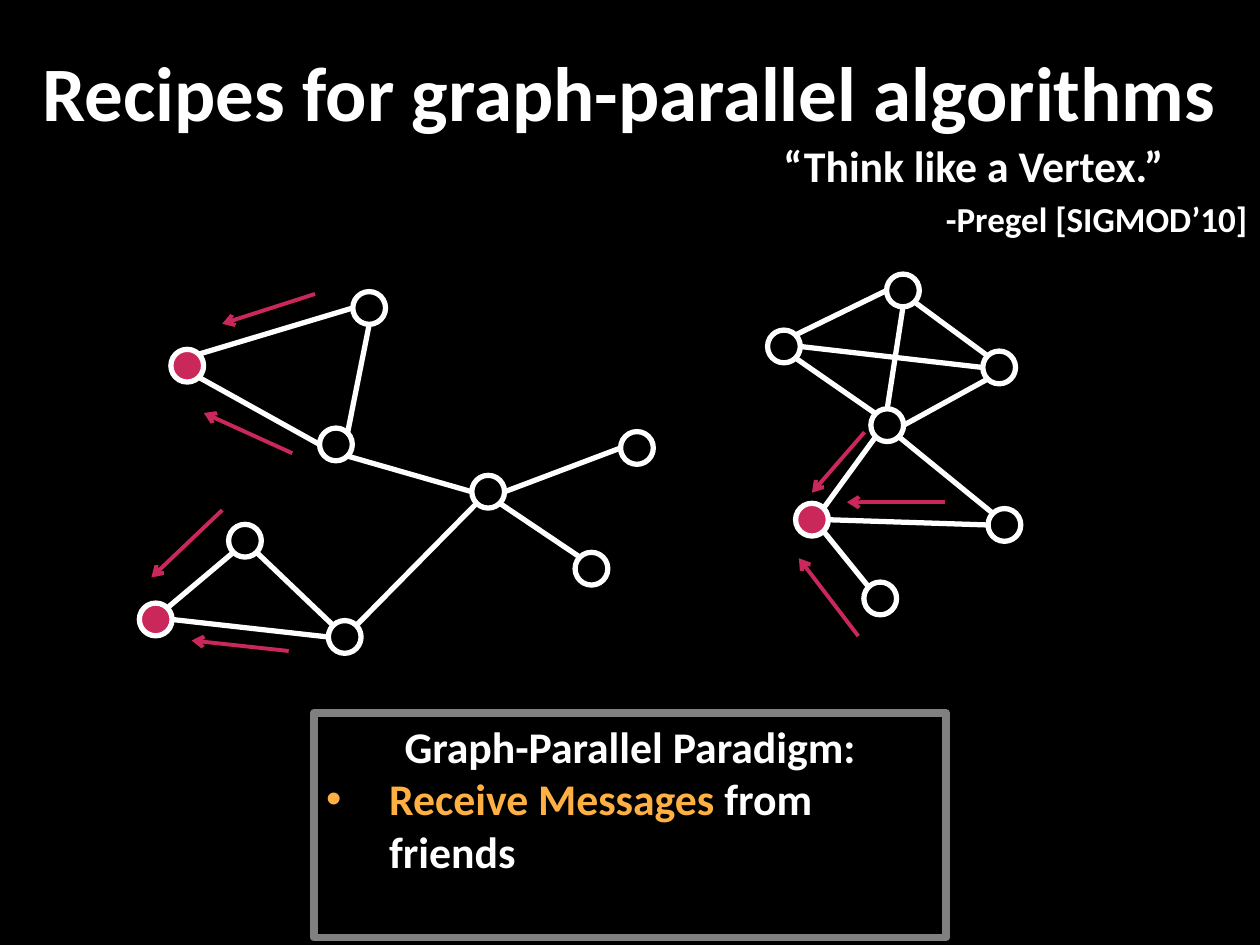
from dataclasses import dataclass
from math import hypot
from lxml.etree import SubElement
from pptx import Presentation
from pptx.dml.color import RGBColor
from pptx.enum.shapes import MSO_CONNECTOR, MSO_SHAPE
from pptx.enum.text import MSO_ANCHOR, MSO_AUTO_SIZE, PP_ALIGN
from pptx.oxml.ns import qn
from pptx.util import Pt


@dataclass
class Theme:
    font: str = "Calibri"
    background: RGBColor = RGBColor(0, 0, 0)
    text: RGBColor = RGBColor(255, 255, 255)
    message: RGBColor = RGBColor(0xCA, 0x27, 0x5B)
    highlight: RGBColor = RGBColor(0xFF, 0xB0, 0x43)
    frame: RGBColor = RGBColor(0x80, 0x80, 0x80)
    title_size: int = 44
    body_size: int = 25
    citation_size: int = 20


theme = Theme()
presentation = Presentation()
presentation.slide_width, presentation.slide_height = Pt(720), Pt(540)
slide = presentation.slides.add_slide(presentation.slide_layouts[5])
slide.background.fill.solid()
slide.background.fill.fore_color.rgb = theme.background


def add_run(paragraph, text, size, color=theme.text):
    run = paragraph.add_run()
    run.text = text
    run.font.name, run.font.size, run.font.bold = theme.font, Pt(size), True
    run.font.color.rgb = color


def add_line(start, end, color, width):
    line = slide.shapes.add_connector(
        MSO_CONNECTOR.STRAIGHT, *(Pt(value) for value in (*start, *end)))
    line.line.color.rgb, line.line.width = color, Pt(width)
    SubElement(line._element.spPr, qn("a:effectLst"))
    return line


# Title
title = slide.shapes.title
title.left, title.top, title.width, title.height = Pt(0), Pt(21.6), Pt(720), Pt(90)
title.text_frame.vertical_anchor = MSO_ANCHOR.TOP
title.text_frame.auto_size = MSO_AUTO_SIZE.NONE
title.text_frame.paragraphs[0].alignment = PP_ALIGN.CENTER
add_run(title.text_frame.paragraphs[0], "Recipes for graph-parallel algorithms",
        theme.title_size)

# Graph: vertex centres, then edges between compass points of the vertices
radius = 9.36
vertices = {
    "hub": (279, 281), "hub east": (364, 256), "hub south": (338, 325),
    "upper top": (211, 176), "upper left": (107, 209), "upper joint": (192, 254),
    "lower top": (140, 309), "lower left": (89, 354), "lower right": (197, 364),
    "west": (448, 198), "north": (516, 166), "east": (571, 210), "centre": (507, 243),
    "target": (464, 297), "target east": (574, 300), "target south": (503, 342),
}
receivers = {"upper left", "lower left", "target"}
compass = {"N": (0, -1), "NE": (1, -1), "E": (1, 0), "SE": (1, 1),
           "S": (0, 1), "SW": (-1, 1), "W": (-1, 0), "NW": (-1, -1)}
edges = [
    ("hub", "E", "hub east", "W"), ("hub", "SE", "hub south", "NW"),
    ("hub", "SW", "lower right", "NE"), ("hub", "W", "upper joint", "SE"),
    ("upper top", "S", "upper joint", "NE"), ("upper top", "W", "upper left", "NE"),
    ("upper joint", "W", "upper left", "SE"), ("lower right", "NW", "lower top", "SE"),
    ("lower left", "NE", "lower top", "SW"), ("lower left", "E", "lower right", "W"),
    ("west", "NE", "north", "W"), ("west", "E", "east", "W"),
    ("west", "SE", "centre", "NW"), ("centre", "N", "north", "S"),
    ("north", "SE", "east", "NW"), ("centre", "E", "east", "SW"),
    ("target", "NE", "centre", "SW"), ("target", "E", "target east", "W"),
    ("target", "SE", "target south", "NW"), ("centre", "SE", "target east", "NW"),
]
for first, first_side, second, second_side in edges:
    ends = []
    for name, side in ((first, first_side), (second, second_side)):
        (x, y), (dx, dy) = vertices[name], compass[side]
        reach = radius / hypot(dx, dy)
        ends.append((x + dx * reach, y + dy * reach))
    add_line(*ends, theme.text, 3)

for name, (x, y) in vertices.items():
    vertex = slide.shapes.add_shape(MSO_SHAPE.OVAL, Pt(x - radius), Pt(y - radius),
                                    Pt(2 * radius), Pt(2 * radius))
    vertex.shadow.inherit = False
    vertex.fill.solid()
    vertex.fill.fore_color.rgb = theme.message if name in receivers else theme.background
    vertex.line.color.rgb, vertex.line.width = theme.text, Pt(3)

# Messages on their way to the receivers
messages = [
    ((180, 168), (127, 185)), ((165, 372), (109.5, 366)), ((494, 247), (464, 281.5)),
    ((540, 287), (484, 287)), ((127, 291.5), (86.5, 330)), ((167, 259), (116.5, 236)),
    ((490.5, 363.5), (456.5, 319)),
]
for start, end in messages:
    arrow = add_line(start, end, theme.message, 2.25)
    SubElement(arrow.line._get_or_add_ln(), qn("a:tailEnd"), type="arrow")

# Quote
quote = slide.shapes.add_textbox(Pt(440.6), Pt(75.6), Pt(279.4), Pt(72)).text_frame
quote.word_wrap = True
add_run(quote.paragraphs[0], "“Think like a Vertex.”", theme.body_size)
citation = quote.add_paragraph()
citation.alignment, citation.space_before = PP_ALIGN.RIGHT, Pt(4)
add_run(citation, "-Pregel [SIGMOD’10]", theme.citation_size)

# Paradigm box
box = slide.shapes.add_shape(MSO_SHAPE.RECTANGLE, Pt(179.3), Pt(407.5), Pt(361.4), Pt(128.2))
box.shadow.inherit = False
box.fill.solid()
box.fill.fore_color.rgb = theme.background
box.line.color.rgb, box.line.width = theme.frame, Pt(4.5)
paradigm = box.text_frame
paradigm.word_wrap, paradigm.vertical_anchor = True, MSO_ANCHOR.TOP
heading = paradigm.paragraphs[0]
heading.alignment = PP_ALIGN.CENTER
add_run(heading, "Graph-Parallel Paradigm:", theme.body_size)
step = paradigm.add_paragraph()
step.alignment = PP_ALIGN.LEFT
properties = step._p.get_or_add_pPr()
properties.set("marL", str(Pt(36)))
properties.set("indent", str(-Pt(36)))
SubElement(properties, qn("a:buFont"), typeface="Arial")
SubElement(properties, qn("a:buChar"), char="•")
add_run(step, "Receive Messages ", theme.body_size, theme.highlight)
add_run(step, "from friends", theme.body_size)

presentation.save("out.pptx")
